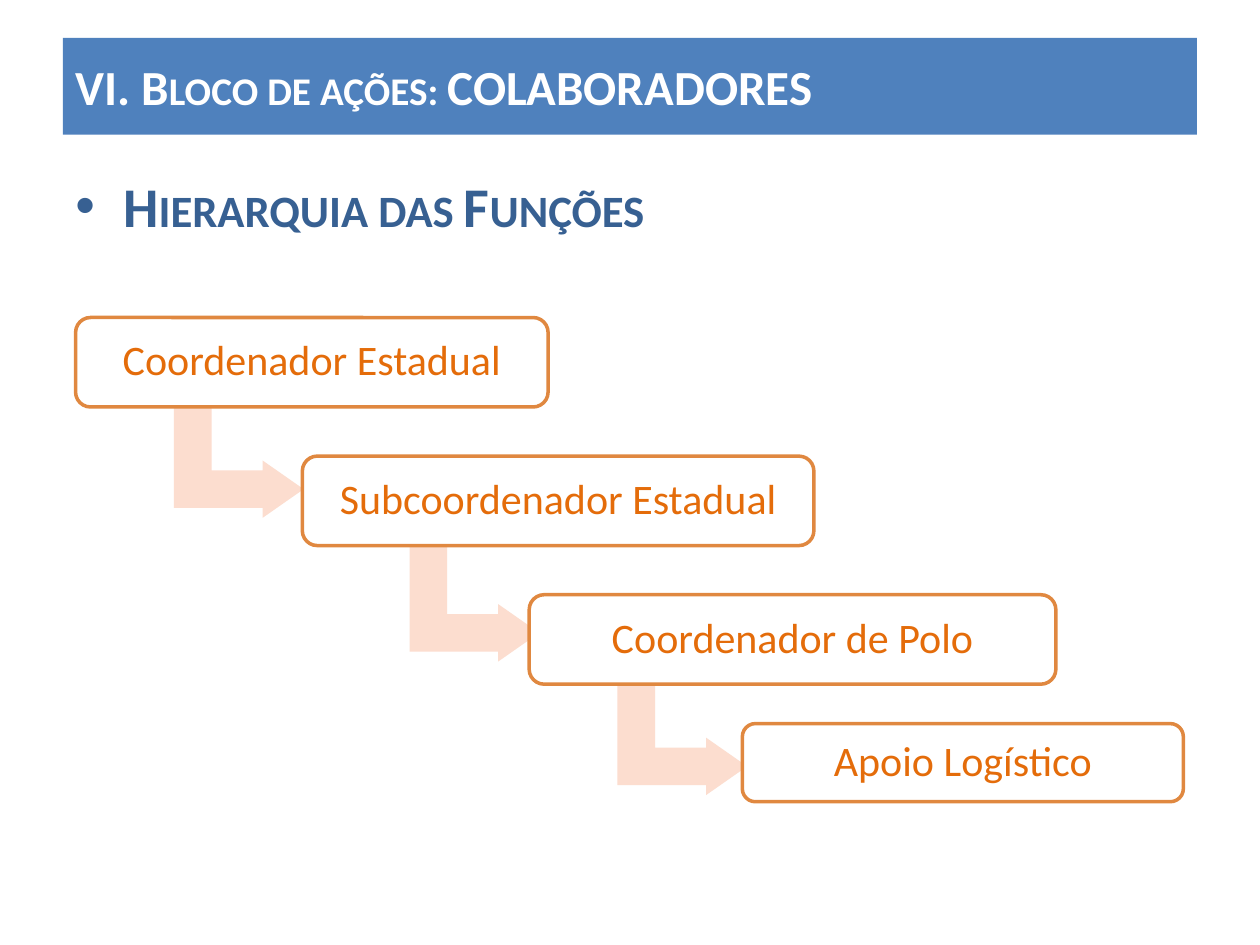
from dataclasses import dataclass

from lxml import etree
from pptx import Presentation, util as u
from pptx.dml.color import RGBColor
from pptx.enum import shapes, text
from pptx.oxml.ns import qn

COLORS = {"banner": "4F81BD", "white": "FFFFFF", "heading": "376092",
          "arrow": "FCDDCF", "border": "E08840", "role": "E46C0A"}
FONT = "Calibri"

# Staircase grid: each step moves one column right and one row down
LEFT, TOP, COL, ROW = 0.6, 2.52, 1.8, 1.1
ARROW_W, ARROW_H = 0.91, 1.03
ARROW_ADJUSTMENTS = (0.328, 0.25, 0.358)


@dataclass
class Step:
    label: str
    col: float
    row: float
    width: float
    height: float = 0.71
    arrow: tuple[float, float] | None = None  # offset from the box corner


STEPS = [
    Step("Coordenador Estadual", 0, 0, 3.75, arrow=(0.84, 0.62)),
    Step("Subcoordenador Estadual", 1, 1, 4.06, arrow=(0.91, 0.66)),
    Step("Coordenador de Polo", 2, 2, 4.18, arrow=(0.76, 0.62)),
    Step("Apoio Logístico", 2.94, 2.93, 3.5, height=0.62),
]


def rgb(name: str) -> RGBColor:
    return RGBColor.from_string(COLORS[name])


def set_attrs(obj, **values) -> None:
    for name, value in values.items():
        setattr(obj, name, value)


def add_run(p, words: str, size: float, color: str, bold=False, small_caps=False) -> None:
    r = p.add_run()
    r.text = words
    set_attrs(r.font, name=FONT, size=u.Pt(size), bold=bold)
    r.font.color.rgb = rgb(color)
    if small_caps:
        r.font._element.set("cap", "small")


def add_block(slide, kind, x: float, y: float, w: float, h: float, fill: str, line=None):
    sp = slide.shapes.add_shape(kind, u.Inches(x), u.Inches(y), u.Inches(w), u.Inches(h))
    sp.shadow.inherit = False
    sp.fill.solid()
    sp.fill.fore_color.rgb = rgb(fill)
    if line:
        sp.line.color.rgb = rgb(line)
        sp.line.width = u.Pt(2)
    else:
        sp.line.fill.background()
    return sp


def add_title(slide) -> None:
    sp = add_block(slide, shapes.MSO_SHAPE.RECTANGLE, 0.5, 0.3, 9, 0.77, "banner")
    tf = sp.text_frame
    set_attrs(tf, word_wrap=True, vertical_anchor=text.MSO_ANCHOR.MIDDLE)
    p = tf.paragraphs[0]
    p.alignment = text.PP_ALIGN.LEFT
    for words, small in (("VI. ", False), ("Bloco de ações: ", True), ("COLABORADORES", False)):
        add_run(p, words, 28, "white", bold=True, small_caps=small)


def add_heading(slide) -> None:
    sp = slide.shapes.add_textbox(*(u.Inches(v) for v in (0.5, 1.31, 9, 1.04)))
    sp.text_frame.word_wrap = True
    p = sp.text_frame.paragraphs[0]
    pPr = p._p.get_or_add_pPr()
    indent = u.Inches(0.38)
    pPr.set("marL", str(indent))
    pPr.set("indent", str(-indent))
    etree.SubElement(pPr, qn("a:buFont")).set("typeface", "Arial")
    etree.SubElement(pPr, qn("a:buChar")).set("char", "•")
    add_run(p, "Hierarquia das Funções", 32, "heading", bold=True, small_caps=True)


def add_step(slide, step: Step) -> None:
    x, y = LEFT + step.col * COL, TOP + step.row * ROW
    # Arrow to the next step, behind the boxes
    if step.arrow:
        dx, dy = step.arrow
        arrow = add_block(slide, shapes.MSO_SHAPE.BENT_UP_ARROW, x + dx, y + dy,
                          ARROW_W, ARROW_H, "arrow")
        arrow.rotation = 90
        for i, value in enumerate(ARROW_ADJUSTMENTS):
            arrow.adjustments[i] = value
    # Role box
    sp = add_block(slide, shapes.MSO_SHAPE.ROUNDED_RECTANGLE, x, y,
                   step.width, step.height, "white", "border")
    tf = sp.text_frame
    set_attrs(tf, word_wrap=True, vertical_anchor=text.MSO_ANCHOR.MIDDLE)
    for side in ("left", "top", "right", "bottom"):
        setattr(tf, f"margin_{side}", u.Inches(0.1))
    p = tf.paragraphs[0]
    set_attrs(p, alignment=text.PP_ALIGN.CENTER, line_spacing=0.9)
    add_run(p, step.label, 24, "role")


def main() -> None:
    prs = Presentation()
    prs.slide_width, prs.slide_height = u.Inches(10), u.Inches(7.5)
    slide = prs.slides.add_slide(prs.slide_layouts[6])
    add_title(slide)
    add_heading(slide)
    for step in STEPS:
        add_step(slide, step)
    prs.save("out.pptx")


if __name__ == "__main__":
    main()
